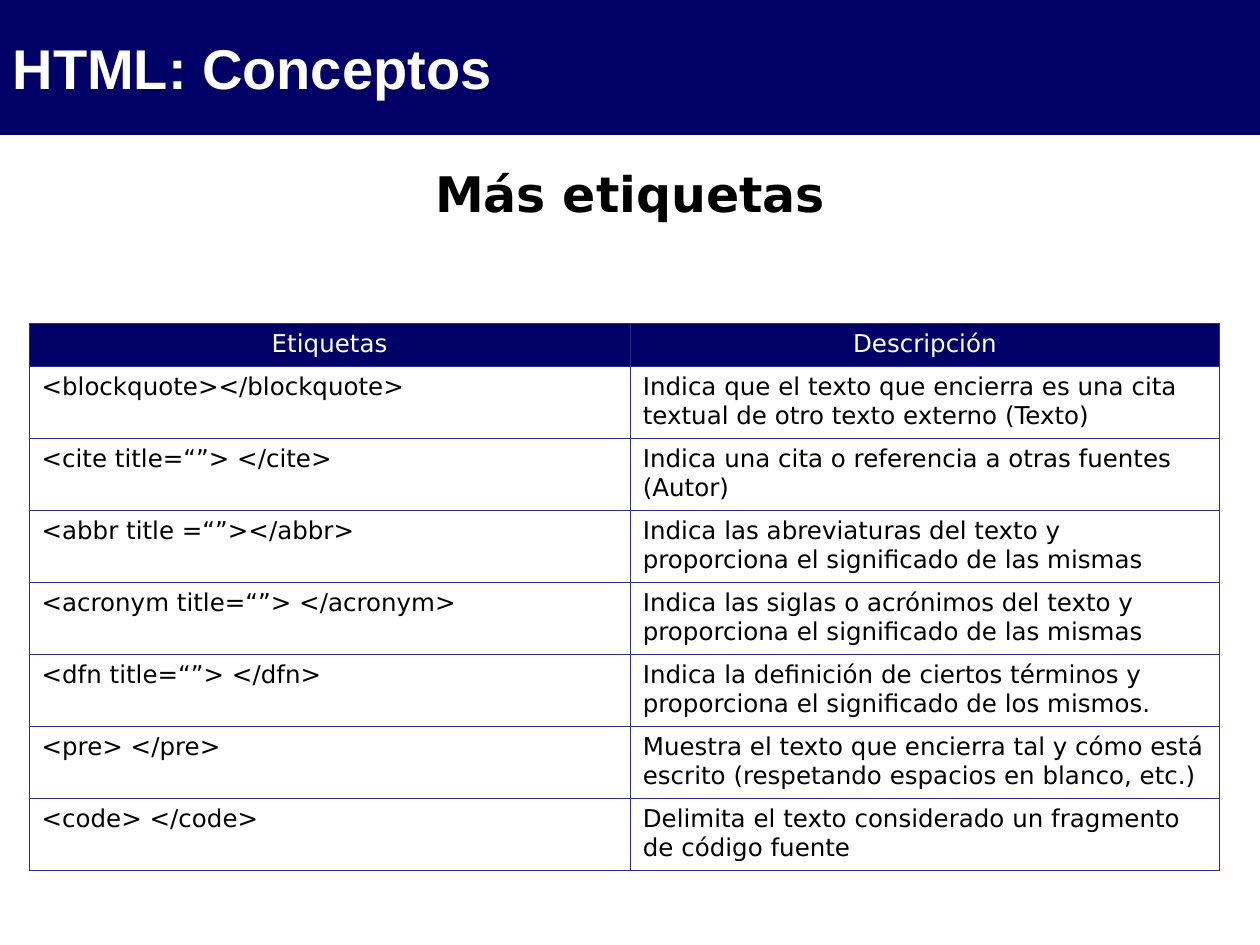
from lxml.etree import SubElement
from pptx import Presentation
from pptx.dml.color import RGBColor
from pptx.enum.text import MSO_ANCHOR as Anchor, MSO_AUTO_SIZE as AutoSize, PP_ALIGN as Align
from pptx.oxml.ns import qn
from pptx.util import Inches, Pt

WIDTH, HEIGHT = Inches(10), Inches(7.5)
NAVY, BORDER, WHITE, BLACK = "000066", "2D2D8A", "FFFFFF", "000000"
BODY_FONT = "DejaVu Sans"

HEADERS = ("Etiquetas", "Descripción")
TAGS = [
    ("<blockquote></blockquote>",
     "Indica que el texto que encierra es una cita textual de otro texto externo (Texto)"),
    ("<cite title=“”> </cite>",
     "Indica una cita o referencia a otras fuentes (Autor)"),
    ("<abbr title =“”></abbr>",
     "Indica las abreviaturas del texto y proporciona el significado de las mismas"),
    ("<acronym title=“”> </acronym>",
     "Indica las siglas o acrónimos del texto y proporciona el significado de las mismas"),
    ("<dfn title=“”> </dfn>",
     "Indica la definición de ciertos términos y proporciona el significado de los mismos."),
    ("<pre> </pre>",
     "Muestra el texto que encierra tal y cómo está escrito (respetando espacios en blanco, etc.)"),
    ("<code> </code>",
     "Delimita el texto considerado un fragmento de código fuente"),
]


def paint(color_format, color):
    color_format.rgb = RGBColor.from_string(color)


def fill_solid(target, color):
    target.fill.solid()
    paint(target.fill.fore_color, color)


def write(frame, text, size, color, font=BODY_FONT, bold=False, align=Align.LEFT, before=0):
    paragraph = frame.paragraphs[0]
    paragraph.alignment = align
    paragraph.space_before = Pt(before)
    run = paragraph.add_run()
    run.text = text
    run.font.name, run.font.size, run.font.bold = font, Pt(size), bold
    paint(run.font.color, color)


def add_borders(cell, color, width):
    properties = cell._tc.get_or_add_tcPr()
    for side in ("lnL", "lnR", "lnT", "lnB"):
        line = SubElement(properties, qn(f"a:{side}"), w=str(Pt(width)))
        fill = SubElement(line, qn("a:solidFill"))
        SubElement(fill, qn("a:srgbClr"), val=color)


def place_title(slide, box, text):
    title = slide.shapes.title
    title.left, title.top, title.width, title.height = box
    fill_solid(title, NAVY)
    title.text_frame.auto_size = AutoSize.NONE
    title.text_frame.vertical_anchor = Anchor.MIDDLE
    write(title.text_frame, text, 32, WHITE, font="Arial", bold=True)


def place_subtitle(slide, box, text):
    frame = slide.shapes.add_textbox(*box).text_frame
    frame.word_wrap = True
    write(frame, text, 28, BLACK, bold=True, align=Align.CENTER)


def place_tag_table(slide, box, headers, rows):
    left, top, width, height = box
    table = slide.shapes.add_table(len(rows) + 1, len(headers), *box).table

    # The first column is slightly wider; the header row is lower than the rest
    first_width = int(width * 0.505)
    table.columns[0].width = first_width
    table.columns[1].width = width - first_width
    header_height = Inches(0.34)
    table.rows[0].height = header_height
    for index in range(1, len(rows) + 1):
        table.rows[index].height = (height - header_height) // len(rows)

    for row_index, values in enumerate([headers, *rows]):
        is_header = row_index == 0
        for column_index, text in enumerate(values):
            cell = table.cell(row_index, column_index)
            add_borders(cell, BORDER, 0.45)
            if is_header:
                fill_solid(cell, NAVY)
            else:
                cell.fill.background()
            write(cell.text_frame, text, 14, WHITE if is_header else BLACK,
                  align=Align.CENTER if is_header else Align.LEFT, before=3.5)


def main():
    presentation = Presentation()
    presentation.slide_width, presentation.slide_height = WIDTH, HEIGHT
    slide = presentation.slides.add_slide(presentation.slide_layouts[5])

    # Title band, subtitle and table of tags
    place_title(slide, (0, 0, WIDTH, Inches(1.07)), "HTML: Conceptos")
    place_subtitle(slide, (0, HEIGHT // 6, WIDTH, Inches(0.57)), "Más etiquetas")
    place_tag_table(slide, (Inches(0.23), Inches(2.57), Inches(9.45), Inches(4.34)),
                    HEADERS, TAGS)

    presentation.save("out.pptx")


if __name__ == "__main__":
    main()
